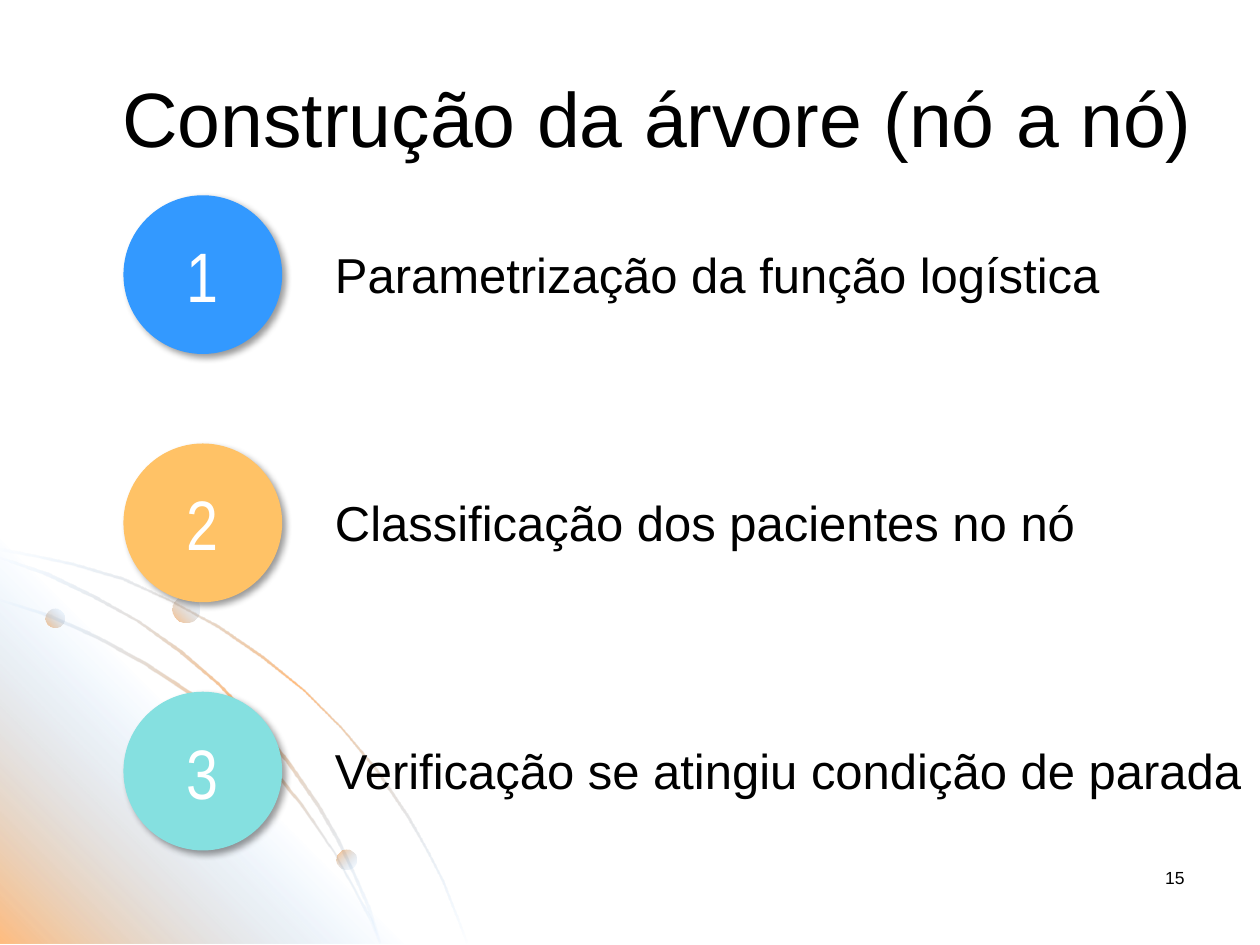
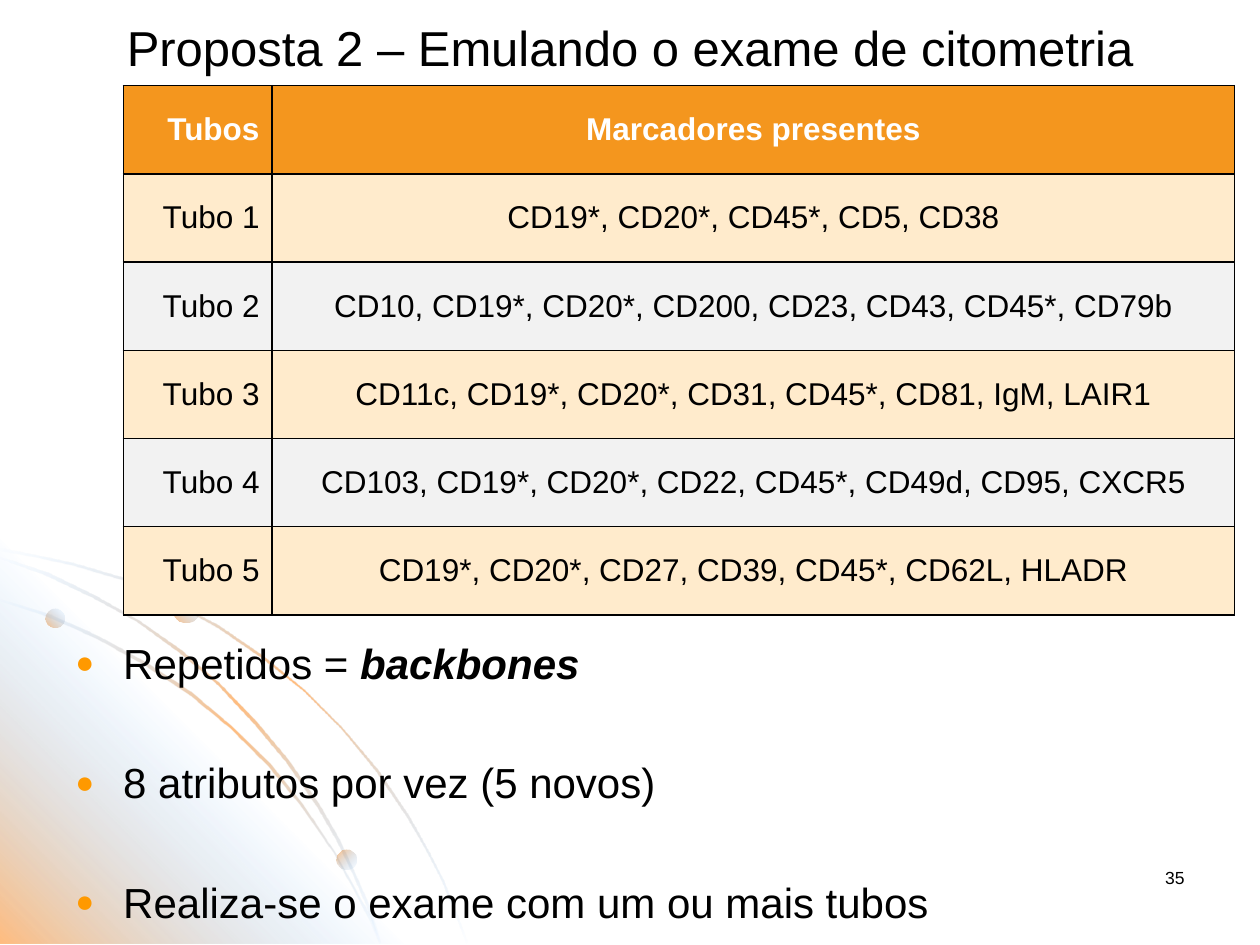
from pptx import Presentation
from pptx.dml.color import RGBColor
from pptx.enum.shapes import MSO_SHAPE as Shape
from pptx.enum.text import MSO_ANCHOR as Anchor, PP_ALIGN as Align
from pptx.oxml import parse_xml
from pptx.oxml.ns import nsdecls, qn
from pptx.util import Inches, Pt

BLACK, WHITE = "000000", "FFFFFF"
BLUE, ORANGE = "3399FF", "FF7B00"
HEADER, PEACH, GREY = "F4961E", "FFEBCC", "F2F2F2"
BULLET = "FF9900"

BLUE_CLEAR, ORANGE_HALF = (BLUE, 0), (ORANGE, 50)
ARC_STOPS = [BLUE_CLEAR, ORANGE_HALF, BLUE_CLEAR]
CORNER_STOPS = [ORANGE_HALF, BLUE_CLEAR, ORANGE_HALF]
DOT_STOPS = [ORANGE_HALF, BLUE_CLEAR]

CORNER = [(3.22, 7.49), (0, 7.49), (0, 4.27)]
OUTER_ARC = [
    (0.57, 4.47), (0.28, 4.41), (0, 4.35), (0, 4.38), (0.28, 4.43), (0.56, 4.49),
    (0.97, 4.61), (1.35, 4.78), (1.73, 4.99), (2.08, 5.23), (2.41, 5.49), (2.71, 5.79),
    (2.98, 6.12), (3.23, 6.49), (3.37, 6.73), (3.5, 6.98), (3.6, 7.23), (3.7, 7.49),
    (3.72, 7.49), (3.62, 7.23), (3.52, 6.98), (3.39, 6.73), (3.25, 6.48), (3, 6.11),
    (2.72, 5.78), (2.42, 5.48), (2.09, 5.21), (1.74, 4.97), (1.36, 4.77), (0.98, 4.59),
]
INNER_ARC = [
    (2.85, 7.14), (2.94, 7.32), (3.01, 7.49), (3.03, 7.49), (2.96, 7.3), (2.86, 7.12),
    (2.66, 6.76), (2.42, 6.4), (2.15, 6.06), (1.84, 5.76), (1.52, 5.49), (1.17, 5.26),
    (0.79, 5.05), (0.41, 4.88), (0, 4.75), (0, 4.77), (0.39, 4.9), (0.77, 5.07),
    (1.15, 5.28), (1.5, 5.51), (1.83, 5.78), (2.13, 6.08), (2.4, 6.41), (2.65, 6.77),
]
MIDDLE_ARC = [
    (0, 4.42), (0, 4.44), (0.36, 4.57), (0.74, 4.75), (1.09, 4.94), (1.42, 5.18),
    (1.73, 5.44), (2.02, 5.75), (2.27, 6.05), (2.52, 6.41), (2.67, 6.67), (2.8, 6.94),
    (2.92, 7.22), (3.01, 7.49), (3.03, 7.49), (2.94, 7.2), (2.82, 6.93), (2.69, 6.65),
    (2.54, 6.39), (2.29, 6.03), (2.04, 5.73), (1.75, 5.43), (1.44, 5.16), (1.11, 4.93),
    (0.76, 4.73), (0.39, 4.55),
]
OUTLINES = [
    (OUTER_ARC, ARC_STOPS, 45),
    (CORNER, CORNER_STOPS, 315),
    (INNER_ARC, ARC_STOPS, 45),
    (MIDDLE_ARC, ARC_STOPS, 45),
]
DOTS = [(0.36, 4.83, 0.15, 315), (2.67, 6.74, 0.16, 45), (1.37, 4.73, 0.21, 315)]

STEPS = [
    ("Parametrização da função logística", BLUE),
    ("Classificação dos pacientes no nó", "FFC266"),
    ("Verificação se atingiu condição de parada", "85E0E0"),
]
TUBES = [
    ("Tubos", "Marcadores presentes"),
    ("Tubo 1", "CD19*, CD20*, CD45*, CD5, CD38"),
    ("Tubo 2", "CD10, CD19*, CD20*, CD200, CD23, CD43, CD45*, CD79b"),
    ("Tubo 3", "CD11c, CD19*, CD20*, CD31, CD45*, CD81, IgM, LAIR1"),
    ("Tubo 4", "CD103, CD19*, CD20*, CD22, CD45*, CD49d, CD95, CXCR5"),
    ("Tubo 5", "CD19*, CD20*, CD27, CD39, CD45*, CD62L, HLADR"),
]
NOTES = [
    ("Repetidos = ", "backbones"),
    ("8 atributos por vez (5 novos)",),
    ("Realiza-se o exame com um ou mais tubos",),
]


def rgb(value):
    """Turn a hex string into a colour."""
    return RGBColor.from_string(value)


def style(paragraph, size, color=BLACK, align=Align.LEFT, font="Arial", bold=False):
    """Format a paragraph and all its runs."""
    paragraph.alignment = align
    for run in paragraph.runs:
        run.font.size = Pt(size)
        run.font.name = font
        run.font.bold = bold
        run.font.color.rgb = rgb(color)


def add_label(slide, text, box, size, align=Align.LEFT, anchor=Anchor.TOP):
    """Add one line of text in a wrapping box."""
    frame = slide.shapes.add_textbox(*map(Inches, box)).text_frame
    frame.word_wrap = True
    frame.vertical_anchor = anchor
    frame.text = text
    style(frame.paragraphs[0], size, align=align)


def fill_gradient(shape, stops, angle):
    """Give a shape an evenly spaced translucent gradient and no outline."""
    shape.shadow.inherit = False
    shape.line.fill.background()
    shape.fill.background()
    gap = 100000 // (len(stops) - 1)
    marks = "".join(
        f'<a:gs pos="{i * gap}"><a:srgbClr val="{color}">'
        f'<a:alpha val="{opacity * 1000}"/></a:srgbClr></a:gs>'
        for i, (color, opacity) in enumerate(stops)
    )
    gradient = parse_xml(
        f'<a:gradFill {nsdecls("a")} rotWithShape="1"><a:gsLst>{marks}</a:gsLst>'
        f'<a:lin ang="{angle * 60000}" scaled="0"/></a:gradFill>'
    )
    properties = shape.element.spPr
    properties.replace(properties.find(qn("a:noFill")), gradient)


def add_corner_art(slide):
    """Draw the glowing corner with its arcs and dots."""
    for points, stops, angle in OUTLINES:
        start, *rest = [(Inches(x), Inches(y)) for x, y in points]
        builder = slide.shapes.build_freeform(*start)
        builder.add_line_segments(rest, close=True)
        fill_gradient(builder.convert_to_shape(), stops, angle)
    for x, y, size, angle in DOTS:
        dot = slide.shapes.add_shape(Shape.OVAL, *map(Inches, (x, y, size, size)))
        fill_gradient(dot, DOT_STOPS, angle)


def start_slide(deck, title, title_box, title_size, number):
    """Add a slide with the corner art, title and page number."""
    slide = deck.slides.add_slide(deck.slide_layouts[6])
    add_corner_art(slide)
    add_label(slide, title, title_box, title_size, Align.CENTER, Anchor.MIDDLE)
    add_label(slide, str(number), (7.17, 6.83, 2.33, 0.5), 10, Align.RIGHT)
    return slide


def add_step(slide, number, text, color, top):
    """Add a numbered circle with its description."""
    circle = slide.shapes.add_shape(Shape.OVAL, *map(Inches, (0.98, top, 1.26, 1.26)))
    circle.fill.solid()
    circle.fill.fore_color.rgb = rgb(color)
    circle.line.fill.background()
    circle.shadow.inherit = False
    circle.element.spPr.find(qn("a:effectLst")).append(parse_xml(
        f'<a:outerShdw {nsdecls("a")} blurRad="{Pt(4)}" dist="{Pt(3)}" dir="2700000" '
        f'algn="tl" rotWithShape="0"><a:srgbClr val="{BLACK}">'
        '<a:alpha val="40000"/></a:srgbClr></a:outerShdw>'
    ))
    frame = circle.text_frame
    frame.vertical_anchor = Anchor.MIDDLE
    frame.text = str(number)
    style(frame.paragraphs[0], 40, WHITE, Align.CENTER, "Arial Narrow")
    add_label(slide, text, (2.56, top + 0.34, 7.49, 0.57), 28)


def add_borders(cell):
    """Draw a thin black line on each side of a cell."""
    properties = cell._tc.get_or_add_tcPr()
    for side in ("lnL", "lnR", "lnT", "lnB"):
        properties.append(parse_xml(
            f'<a:{side} {nsdecls("a")} w="{Pt(1)}"><a:solidFill>'
            f'<a:srgbClr val="{BLACK}"/></a:solidFill></a:{side}>'
        ))


def add_tube_table(slide):
    """Add the table of markers in each tube."""
    box = map(Inches, (0.98, 0.68, 8.82, 4.2))
    table = slide.shapes.add_table(len(TUBES), 2, *box).table
    for column, width in zip(table.columns, (1.18, 7.64)):
        column.width = Inches(width)
    for r, row in enumerate(TUBES):
        is_header = r == 0
        fill = HEADER if is_header else (GREY, PEACH)[r % 2]
        for c, text in enumerate(row):
            cell = table.cell(r, c)
            add_borders(cell)
            cell.fill.solid()
            cell.fill.fore_color.rgb = rgb(fill)
            cell.vertical_anchor = Anchor.MIDDLE
            cell.text = text
            style(cell.text_frame.paragraphs[0], 18, WHITE if is_header else BLACK,
                  (Align.RIGHT, Align.CENTER)[c], bold=is_header)


def add_bullet(paragraph):
    """Give a paragraph a hanging orange bullet."""
    properties = paragraph._p.get_or_add_pPr()
    properties.set("marL", str(Inches(0.38)))
    properties.set("indent", str(Inches(-0.38)))
    for tag in (
        f'<a:buClr {nsdecls("a")}><a:srgbClr val="{BULLET}"/></a:buClr>',
        f'<a:buSzPct {nsdecls("a")} val="75000"/>',
        f'<a:buFont {nsdecls("a")} typeface="Arial"/>',
        f'<a:buChar {nsdecls("a")} char="●"/>',
    ):
        properties.append(parse_xml(tag))


def add_notes(slide):
    """Add the bulleted remarks, with emphasis on a second run."""
    frame = slide.shapes.add_textbox(*map(Inches, (0.5, 5.01, 9, 2.4))).text_frame
    frame.word_wrap = True
    for i, parts in enumerate(NOTES):
        paragraph = frame.add_paragraph() if i else frame.paragraphs[0]
        for part in parts:
            paragraph.add_run().text = part
        style(paragraph, 24)
        for emphasis in paragraph.runs[1:]:
            emphasis.font.bold = emphasis.font.italic = True
        paragraph.space_before = Pt(39.5 if i else 4.8)
        add_bullet(paragraph)


def main():
    """Build and save the two slides."""
    deck = Presentation()
    deck.slide_width, deck.slide_height = Inches(10), Inches(7.5)

    tree = start_slide(deck, "Construção da árvore (nó a nó)", (0.72, 0.3, 9, 1.25), 44, 15)
    for i, (text, color) in enumerate(STEPS):
        add_step(tree, i + 1, text, color, 1.55 + i * 1.97)

    exam = start_slide(deck, "Proposta 2 – Emulando o exame de citometria",
                       (0.5, -0.25, 9, 1.25), 28, 35)
    add_tube_table(exam)
    add_notes(exam)

    deck.save("out.pptx")


if __name__ == "__main__":
    main()
